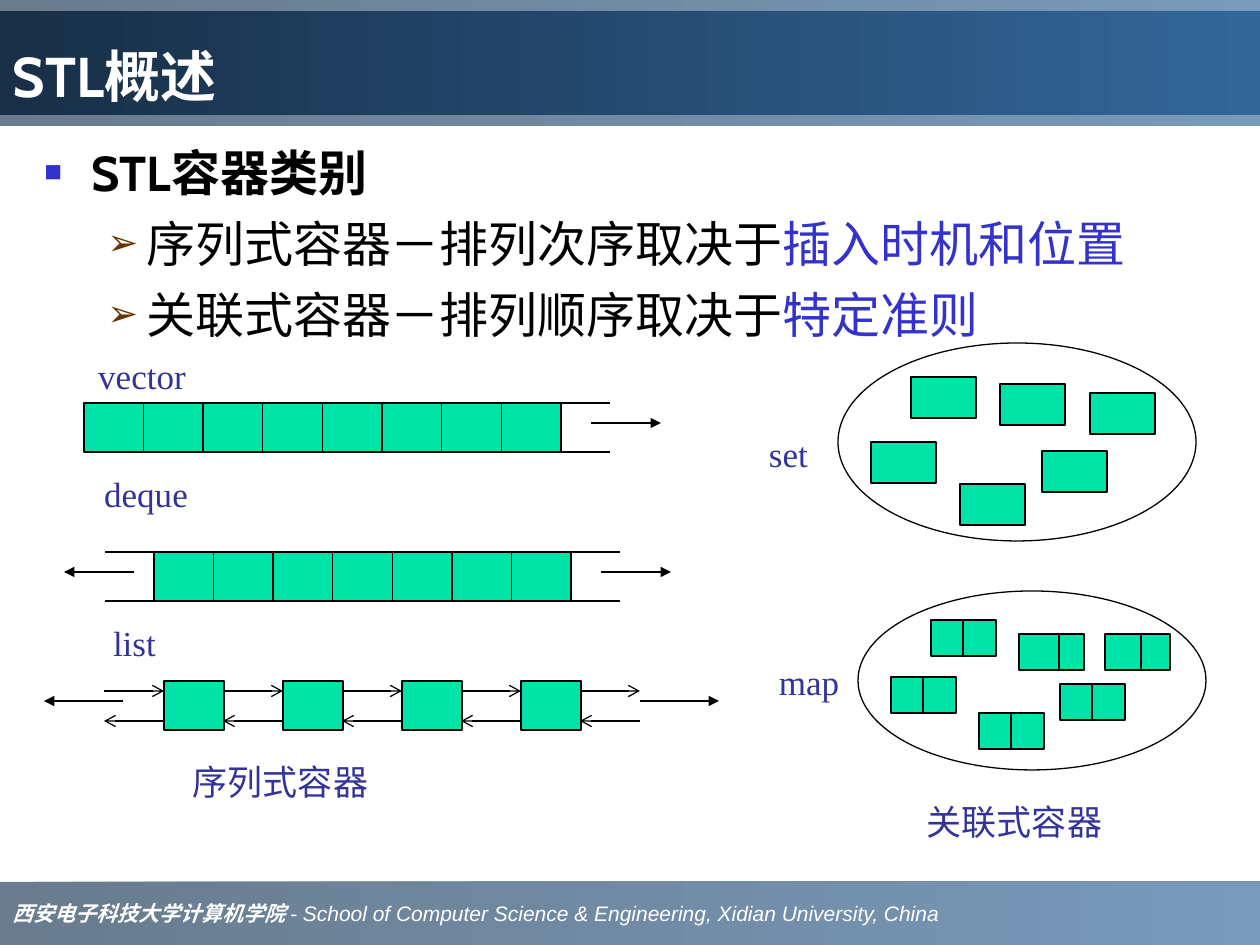
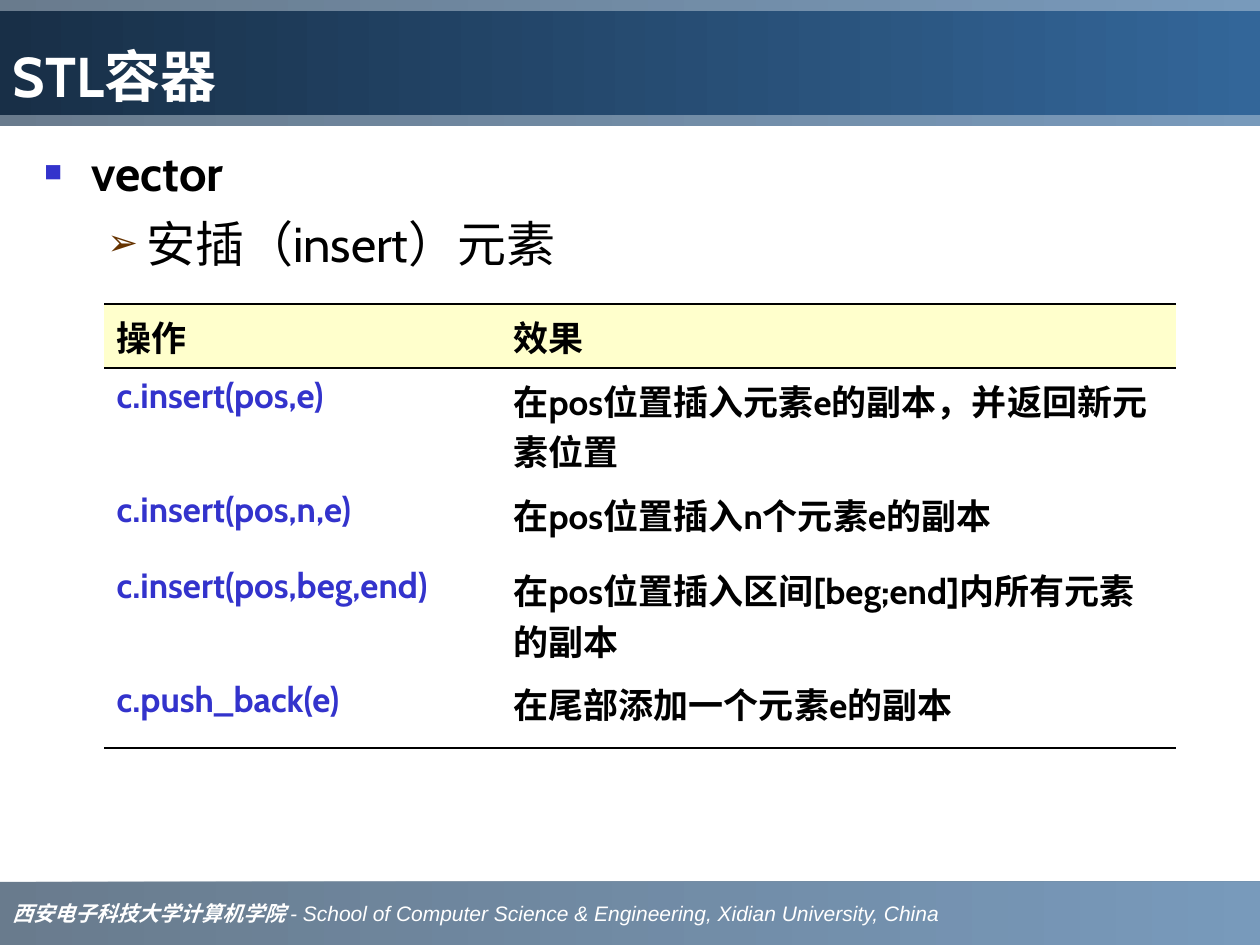
from dataclasses import dataclass
from typing import Any

from lxml import etree
from pptx import Presentation
from pptx.dml.color import RGBColor
from pptx.enum.shapes import MSO_CONNECTOR, MSO_SHAPE
from pptx.enum.text import MSO_ANCHOR, MSO_AUTO_SIZE, PP_ALIGN
from pptx.oxml.ns import qn
from pptx.util import Emu, Pt

RECTANGLE, ELLIPSE = MSO_SHAPE.RECTANGLE, MSO_SHAPE.OVAL
STRAIGHT = MSO_CONNECTOR.STRAIGHT
LEFT, CENTER = PP_ALIGN.LEFT, PP_ALIGN.CENTER
MIDDLE, BOTTOM = MSO_ANCHOR.MIDDLE, MSO_ANCHOR.BOTTOM
NO_FIT = MSO_AUTO_SIZE.NONE
TITLE_ONLY = 5
PLAIN_TABLE_STYLE = "{2D5ABB26-0587-4C30-8999-92F81FD0307C}"
PX = 914400 / 126


@dataclass(frozen=True)
class Theme:
    black: str = "000000"
    white: str = "FFFFFF"
    accent: str = "3333CC"
    label: str = "333399"
    sub_bullet: str = "663300"
    cell: str = "00E4A8"
    table_head: str = "FFFFCC"
    band: tuple = ("1C3853", "336699")
    title_band: tuple = ("182F47", "336699")
    heading_font: str = "Cabin"
    label_font: str = "Times New Roman"
    footer_font: str = "Arial"
    title_size: int = 32
    body_size: int = 28
    label_size: int = 20
    footer_size: int = 12
    line_width: float = 0.75
    rule_width: float = 1.08


THEME = Theme()


def px(length):
    return Emu(round(length * PX))


def rgb(color):
    return RGBColor.from_string(color)


def format_run(run, size, font, color, bold=False, italic=False):
    run.font.size, run.font.name = Pt(size), font
    run.font.bold, run.font.italic = bold, italic
    run.font.color.rgb = rgb(color)


def add_run(paragraph, text, *style, **flags):
    run = paragraph.add_run()
    run.text = text
    format_run(run, *style, **flags)


def fill_gradient(shape, colors, alpha=None):
    shape.fill.gradient()
    shape.fill.gradient_angle = 0
    for stop, color, position in zip(shape.fill.gradient_stops, colors, (0, 1)):
        stop.color.rgb, stop.position = rgb(color), position
    if alpha:
        for color in shape.element.iter(qn("a:srgbClr")):
            etree.SubElement(color, qn("a:alpha"), val=str(alpha * 1000))


@dataclass
class Canvas:
    """A shape collection drawn on from its own top left corner, in px."""
    shapes: Any
    left: int
    top: int

    def box(self, left, top, width, height):
        return px(self.left + left), px(self.top + top), px(width), px(height)

    def outline(self, kind, color, *box):
        shape = self.shapes.add_shape(kind, *self.box(*box))
        shape.shadow.inherit = False
        shape.fill.solid()
        shape.fill.fore_color.rgb = rgb(color)
        shape.line.color.rgb = rgb(THEME.black)
        shape.line.width = Pt(THEME.line_width)

    def line(self, x1, y1, x2, y2, head=None):
        start = px(self.left + x1), px(self.top + y1)
        end = px(self.left + x2), px(self.top + y2)
        connector = self.shapes.add_connector(STRAIGHT, *start, *end)
        connector.line.color.rgb = rgb(THEME.black)
        connector.line.width = Pt(THEME.line_width)
        properties = connector.element.spPr
        etree.SubElement(properties, qn("a:effectLst"))
        if head:
            etree.SubElement(properties.find(qn("a:ln")), qn("a:tailEnd"), type=head)

    def label(self, text, left, top, width, slack=10):
        box = self.box(left - slack, top, width + 2 * slack, 41)
        frame = self.shapes.add_textbox(*box).text_frame
        frame.margin_left = frame.margin_right = 0
        frame.margin_top = frame.margin_bottom = 0
        frame.word_wrap, frame.auto_size = False, NO_FIT
        paragraph = frame.paragraphs[0]
        paragraph.alignment = CENTER
        add_run(paragraph, text, THEME.label_size, THEME.label_font, THEME.label)


# Shared frame: bands and footer on the layout, title on each slide
def build_layout(layout, slide):
    for index, (top, height) in enumerate(((882, 63), (0, 126))):
        band = slide.shapes.add_shape(RECTANGLE, 0, px(top), px(1260), px(height))
        band.shadow.inherit = False
        band.line.fill.background()
        fill_gradient(band, THEME.band, alpha=66)
        if index == 0:
            write_footer(band.text_frame)
        band.element.xpath("./p:nvSpPr/p:cNvPr")[0].set("id", str(20 + index))
        layout.shapes.element.append(band.element)


def write_footer(frame):
    frame.vertical_anchor = MIDDLE
    paragraph = frame.paragraphs[0]
    paragraph.alignment = LEFT
    add_run(paragraph, "西安电子科技大学计算机学院 ", THEME.footer_size,
            THEME.label_font, THEME.white, bold=True, italic=True)
    add_run(paragraph, "- School of Computer Science & Engineering, Xidian University, China",
            THEME.footer_size, THEME.footer_font, THEME.white, italic=True)


def set_title(slide, text):
    title = slide.shapes.title
    title.left, title.top, title.width, title.height = px(0), px(11), px(1260), px(104)
    fill_gradient(title, THEME.title_band)
    frame = title.text_frame
    frame.text = text
    frame.auto_size, frame.vertical_anchor = NO_FIT, BOTTOM
    paragraph = frame.paragraphs[0]
    paragraph.alignment = LEFT
    format_run(paragraph.runs[0], THEME.title_size, THEME.heading_font, THEME.white, bold=True)


# Bulleted text: a bold heading, then points of (black part, accent part)
def set_bullet(paragraph, symbol, color, percent, margin, hanging):
    properties = paragraph._p.get_or_add_pPr()
    properties.set("marL", str(px(margin)))
    properties.set("indent", str(-px(hanging)))
    bullet_color = etree.SubElement(properties, qn("a:buClr"))
    etree.SubElement(bullet_color, qn("a:srgbClr"), val=color)
    etree.SubElement(properties, qn("a:buSzPct"), val=str(percent * 1000))
    etree.SubElement(properties, qn("a:buFont"), typeface=THEME.footer_font)
    etree.SubElement(properties, qn("a:buChar"), char=symbol)


def add_body(slide, heading, points):
    frame = slide.shapes.add_textbox(px(32), px(131), px(1187), px(735)).text_frame
    frame.word_wrap = True
    paragraph = frame.paragraphs[0]
    set_bullet(paragraph, "■", THEME.accent, 60, 47, 47)
    paragraph.line_spacing = Pt(36.5)
    add_run(paragraph, heading, THEME.body_size, THEME.heading_font, THEME.black, bold=True)
    for parts in points:
        paragraph = frame.add_paragraph()
        paragraph.level = 1
        set_bullet(paragraph, "➢", THEME.sub_bullet, 75, 102, 39)
        paragraph.line_spacing, paragraph.space_before = Pt(36.5), Pt(4)
        for text, color in zip(parts, (THEME.black, THEME.accent)):
            add_run(paragraph, text, THEME.body_size, THEME.heading_font, color)


# Sequence containers
def draw_cells(canvas, left, top, width, count):
    for index in range(count):
        canvas.outline(RECTANGLE, THEME.cell, left + index * width / count, top,
                       width / count, 49)


def draw_open_end(canvas, x, top, direction, arrow_start):
    for y in (top, top + 49):
        canvas.line(x, y, x + 49 * direction, y)
    start = x + arrow_start * direction
    canvas.line(start, top + 20, start + 70 * direction, top + 20, "triangle")


def draw_linked_list(canvas, left, top):
    pitch, node = 119, 60
    for index in range(4):
        canvas.outline(RECTANGLE, THEME.cell, left + node + index * pitch, top, node, 49)
    for index in range(5):
        start = left + index * pitch
        canvas.line(start, top + 10, start + node, top + 10, "arrow")
        canvas.line(start + node, top + 40, start, top + 40, "arrow")
    canvas.line(left + 536, top + 20, left + 615, top + 20, "triangle")
    canvas.line(left + 19, top + 20, left - 60, top + 20, "triangle")


def draw_sequences(slide, left, top):
    canvas = Canvas(slide.shapes.add_group_shape().shapes, left, top)
    draw_cells(canvas, 40, 49, 477, 8)
    draw_open_end(canvas, 517, 49, 1, 30)
    draw_cells(canvas, 110, 198, 417, 7)
    draw_open_end(canvas, 527, 198, 1, 30)
    draw_open_end(canvas, 110, 198, -1, 20)
    draw_linked_list(canvas, 60, 327)
    for text, x, y, width in (("vector", 54, 0, 88), ("deque", 60, 118, 84),
                              ("list", 69, 267, 43), ("序列式容器", 149, 406, 175)):
        canvas.label(text, x, y, width)


# Associative containers: each item is left, top and an optional divider offset
SET_ITEMS = ((73, 34), (162, 41), (33, 99), (122, 141), (204, 108), (252, 50))
MAP_ITEMS = ((73, 29, 32), (161, 43, 40), (33, 86, 32),
             (121, 122, 32), (202, 93, 32), (247, 43, 36))


def draw_collection(shapes, box, item_size, items):
    left, top, width, height = box
    canvas = Canvas(shapes, left, top)
    canvas.outline(ELLIPSE, THEME.white, 0, 0, width, height)
    item_width, item_height = item_size
    for x, y, *dividers in items:
        canvas.outline(RECTANGLE, THEME.cell, x, y, item_width, item_height)
        for divider in dividers:
            canvas.line(x + divider, y, x + divider, y + item_height)


def draw_associations(slide, left, top):
    canvas = Canvas(slide.shapes.add_group_shape().shapes, left, top)
    draw_collection(canvas.shapes, (left + 90, top + 248, 348, 179), (65, 36), MAP_ITEMS)
    draw_collection(canvas.shapes, (left + 70, top, 358, 198), (65, 41), SET_ITEMS)
    for text, x, y, width in (("map", 11, 317, 60), ("set", 1, 89, 39),
                              ("关联式容器", 159, 457, 175)):
        canvas.label(text, x, y, width)


# Table of operations
OPERATIONS = (
    ("操作", "效果"),
    ("c.insert(pos,e)", "在pos位置插入元素e的副本，并返回新元素位置"),
    ("c.insert(pos,n,e)", "在pos位置插入n个元素e的副本"),
    ("c.insert(pos,beg,end)", "在pos位置插入区间[beg;end]内所有元素的副本"),
    ("c.push_back(e)", "在尾部添加一个元素e的副本"),
)
RULES = (THEME.rule_width, THEME.line_width, 0, 0, 0, THEME.rule_width)


def set_border(cell, side, width):
    properties = cell._tc.get_or_add_tcPr()
    border = etree.SubElement(properties, qn(f"a:{side}"), w=str(Pt(width)))
    if width:
        fill = etree.SubElement(border, qn("a:solidFill"))
        etree.SubElement(fill, qn("a:srgbClr"), val=THEME.black)
    else:
        etree.SubElement(border, qn("a:noFill"))


def format_cell(cell, text, row, column):
    for side, width in zip(("lnL", "lnR", "lnT", "lnB"), (0, 0, *RULES[row:row + 2])):
        set_border(cell, side, width)
    if row == 0:
        cell.fill.solid()
        cell.fill.fore_color.rgb = rgb(THEME.table_head)
    else:
        cell.fill.background()
    cell.text = text
    color = THEME.accent if row and column == 0 else THEME.black
    format_run(cell.text_frame.paragraphs[0].runs[0], THEME.label_size,
               THEME.heading_font, color, bold=True)


def add_operations(slide, left, top):
    widths, heights = (397, 675), (64, 114, 76, 114, 76)
    frame = slide.shapes.add_table(len(heights), len(widths), px(left), px(top),
                                   px(sum(widths)), px(sum(heights)))
    table = frame.table
    table.first_row = table.horz_banding = False
    next(frame.element.iter(qn("a:tableStyleId"))).text = PLAIN_TABLE_STYLE
    for column, width in zip(table.columns, widths):
        column.width = px(width)
    for row, (height, texts) in enumerate(zip(heights, OPERATIONS)):
        table.rows[row].height = px(height)
        for column, text in enumerate(texts):
            format_cell(table.cell(row, column), text, row, column)


def main():
    presentation = Presentation()
    presentation.slide_width, presentation.slide_height = px(1260), px(945)
    layout = presentation.slide_layouts[TITLE_ONLY]

    overview = presentation.slides.add_slide(layout)
    build_layout(layout, overview)
    set_title(overview, "STL概述")
    add_body(overview, "STL容器类别", (("序列式容器－排列次序取决于", "插入时机和位置"),
                                   ("关联式容器－排列顺序取决于", "特定准则")))
    draw_sequences(overview, 44, 354)
    draw_associations(overview, 768, 343)

    vector = presentation.slides.add_slide(layout)
    set_title(vector, "STL容器")
    add_body(vector, "vector", (("安插（insert）元素",),))
    add_operations(vector, 104, 304)

    presentation.save("out.pptx")


if __name__ == "__main__":
    main()
